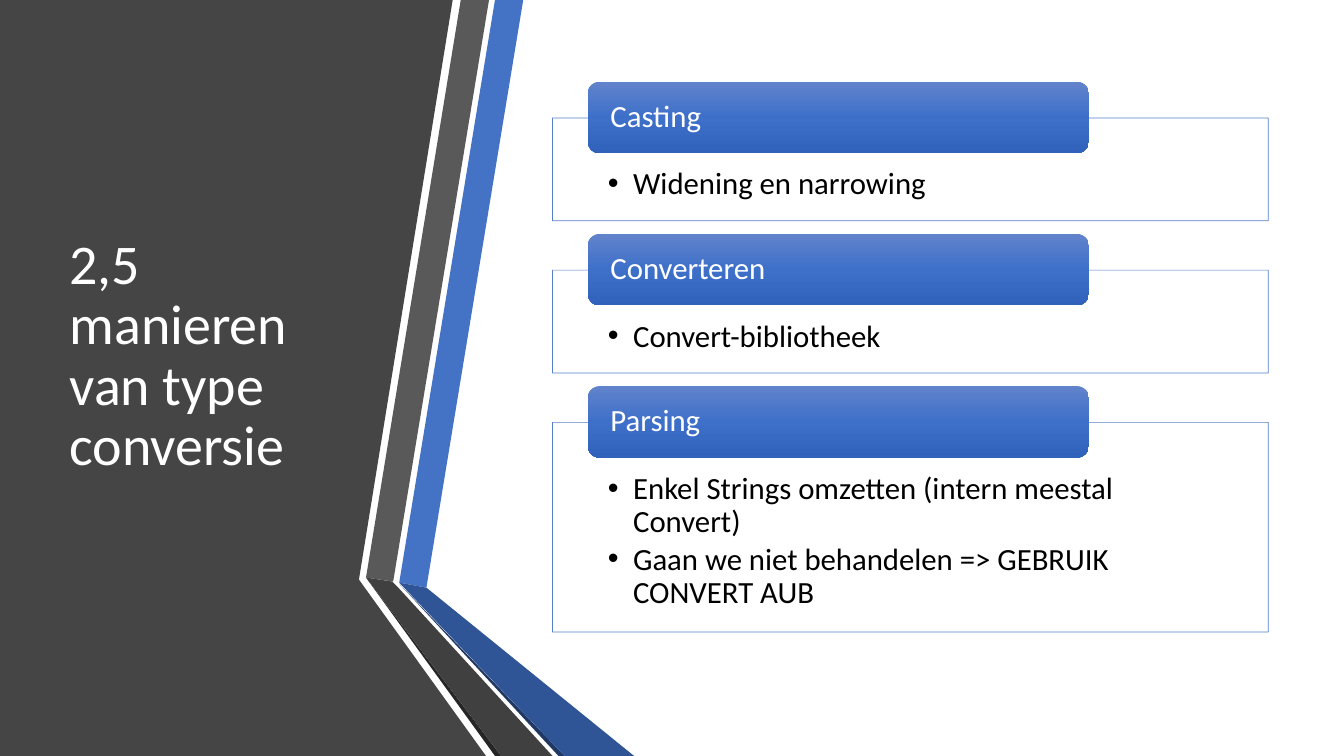
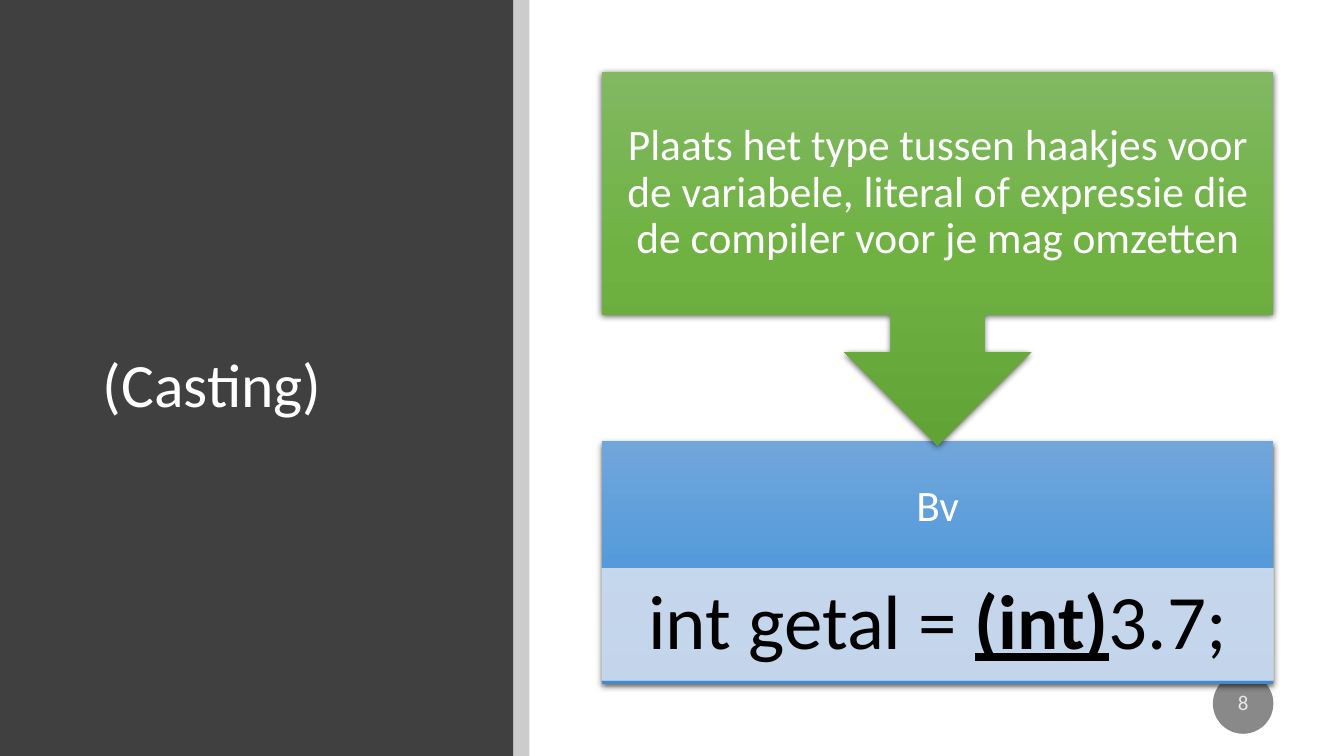
"""Build two slides on type conversion and casting."""
from copy import deepcopy
from dataclasses import dataclass

from lxml.etree import SubElement
from pptx import Presentation
from pptx.dml.color import RGBColor
from pptx.enum.shapes import MSO_SHAPE as Geometry
from pptx.enum.text import MSO_ANCHOR as Anchor, MSO_AUTO_SIZE as AutoSize, PP_ALIGN as Align
from pptx.oxml.ns import qn
from pptx.shapes.autoshape import Shape
from pptx.slide import Slide
from pptx.util import Inches, Pt

COLORS = {
    "white": "FFFFFF", "black": "000000", "blue": "4472C4", "panel": "454545",
    "charcoal": "404040", "gray": "595959", "dark gray": "262626",
    "navy": "203864", "deep blue": "2F5597", "pale blue": "D2DEEF",
    "badge": "898989", "badge text": "E7E7E7",
}
GRADIENTS = {
    "header": ("6183CB", "3E70CA", "3062BB"),
    "example": ("71A6DB", "559BDB", "448ACA"),
    "rule": ("81B861", "6FB242", "62A336"),
}
FONT = "Calibri"
Box = tuple[float, float, float, float]
Points = list[tuple[float, float]]


@dataclass(frozen=True)
class Band:
    color: str
    points: Points


@dataclass(frozen=True)
class Method:
    name: str
    notes: list[str]
    height: float


@dataclass(frozen=True)
class Span:
    text: str
    emphasis: bool = False


BANDS = [
    Band("panel", [(0, 0), (4.49, 0), (3.56, 5.75), (4.82, 7.5), (0, 7.5)]),
    Band("blue", [(3.96, 5.78), (4.23, 5.83), (5.19, 0), (4.91, 0)]),
    Band("gray", [(4.85, 0), (4.57, 0), (3.63, 5.73), (3.9, 5.77)]),
    Band("dark gray", [(3.63, 5.73), (4.91, 7.5), (4.97, 7.5)]),
    Band("navy", [(3.96, 5.79), (5.54, 7.5), (5.6, 7.5)]),
    Band("deep blue", [(3.96, 5.78), (5.6, 7.5), (6.29, 7.5), (4.23, 5.83)]),
    Band("charcoal", [(5.48, 7.5), (3.95, 5.83), (3.89, 5.77), (3.63, 5.73), (4.97, 7.5)]),
]
METHODS = [
    Method("Casting", ["Widening en narrowing"], 1.02),
    Method("Converteren", ["Convert-bibliotheek"], 1.02),
    Method("Parsing", ["Enkel Strings omzetten (intern meestal Convert)",
                       "Gaan we niet behandelen => GEBRUIK CONVERT AUB"], 2.08),
]


def rgb(name: str) -> RGBColor:
    return RGBColor.from_string(COLORS[name])


def apply(target: object, values: dict[str, object]) -> None:
    for name, value in values.items():
        setattr(target, name, value)


def paint(shape: Shape, color: str, outline: str | None = None, opacity: int = 100) -> None:
    shape.shadow.inherit = False
    shape.fill.solid()
    shape.fill.fore_color.rgb = rgb(color)
    if outline:
        shape.line.color.rgb = rgb(outline)
        shape.line.width = Pt(0.5)
    else:
        shape.line.fill.background()
    if opacity < 100:
        for clr in shape._element.spPr.iter(qn("a:srgbClr")):
            SubElement(clr, qn("a:alpha"), val=str(opacity * 1000))


def shade(shape: Shape, gradient: str) -> None:
    shape.shadow.inherit = False
    shape.line.fill.background()
    shape.fill.gradient()
    shape.fill.gradient_angle = 270
    stops = shape._element.spPr.find(".//" + qn("a:gsLst"))
    stops.insert(1, deepcopy(stops[0]))
    for position, (stop, color) in enumerate(zip(stops, GRADIENTS[gradient])):
        stop.set("pos", str(position * 50000))
        for child in list(stop):
            stop.remove(child)
        SubElement(stop, qn("a:srgbClr"), val=color)


def cast_shadow(shape: Shape) -> None:
    effects = shape._element.spPr.find(qn("a:effectLst"))
    shadow = SubElement(effects, qn("a:outerShdw"), blurRad=str(Pt(4.5)), dist=str(Pt(1.5)),
                        dir="5400000", algn="ctr", rotWithShape="0")
    clr = SubElement(shadow, qn("a:srgbClr"), val=COLORS["black"])
    SubElement(clr, qn("a:alpha"), val="63000")


def add_box(slide: Slide, geometry: Geometry, box: Box) -> Shape:
    return slide.shapes.add_shape(geometry, *map(Inches, box))


def write(shape: Shape, paragraphs: list[list[Span]], size: float, color: str = "white",
          align: Align = Align.CENTER, anchor: Anchor = Anchor.MIDDLE,
          insets: Box = (0.1, 0.05, 0.1, 0.05), bullets: bool = False) -> None:
    frame = shape.text_frame
    sides = ("margin_left", "margin_top", "margin_right", "margin_bottom")
    apply(frame, {"word_wrap": True, "auto_size": AutoSize.NONE, "vertical_anchor": anchor,
                  **dict(zip(sides, map(Inches, insets)))})
    for index, spans in enumerate(paragraphs):
        paragraph = frame.add_paragraph() if index else frame.paragraphs[0]
        apply(paragraph, {"alignment": align, "line_spacing": 0.9,
                          "space_before": Pt(0), "space_after": Pt(3 if bullets else 0)})
        if bullets:
            properties = paragraph._p.get_or_add_pPr()
            properties.set("marL", str(Inches(0.25)))
            properties.set("indent", str(Inches(-0.25)))
            SubElement(properties, qn("a:buFont"), typeface="Arial")
            SubElement(properties, qn("a:buChar"), char="•")
        for span in spans:
            run = paragraph.add_run()
            run.text = span.text
            apply(run.font, {"name": FONT, "size": Pt(size), "bold": span.emphasis,
                             "underline": span.emphasis})
            run.font.color.rgb = rgb(color)


def add_title(slide: Slide, text: str, box: Box, size: float) -> None:
    title = slide.shapes.title
    apply(title, dict(zip(("left", "top", "width", "height"), map(Inches, box))))
    write(title, [[Span(text)]], size, align=Align.LEFT)
    title._element.getparent().append(title._element)


def add_band(slide: Slide, band: Band) -> None:
    start, *rest = [(Inches(x), Inches(y)) for x, y in band.points]
    outline = slide.shapes.build_freeform(*start)
    outline.add_line_segments(rest, close=True)
    paint(outline.convert_to_shape(), band.color)


def add_method(slide: Slide, method: Method, top: float) -> None:
    body = add_box(slide, Geometry.RECTANGLE, (5.48, top, 7.1, method.height))
    paint(body, "white", "blue", 90)
    write(body, [[Span(note)] for note in method.notes], 22, "black", Align.LEFT,
          Anchor.TOP, (0.55, 0.5, 0.55, 0.17), bullets=True)
    header = add_box(slide, Geometry.ROUNDED_RECTANGLE, (5.83, top - 0.36, 4.97, 0.71))
    shade(header, "header")
    write(header, [[Span(method.name)]], 22, align=Align.LEFT, insets=(0.19, 0, 0.19, 0))


def build_methods(slide: Slide) -> None:
    for band in BANDS:
        add_band(slide, band)
    add_title(slide, "2,5 manieren van type conversie", (0.59, 0.75, 3.04, 5.58), 40)
    top = 1.17
    for method in METHODS:
        add_method(slide, method, top)
        top += method.height + 0.49


def build_casting(slide: Slide) -> None:
    paint(add_box(slide, Geometry.RECTANGLE, (0, 0, 5.09, 7.5)), "charcoal")
    add_title(slide, "(Casting)", (0.92, 0.89, 3.65, 5.91), 44)
    paint(add_box(slide, Geometry.RECTANGLE, (5.09, 0, 0.16, 7.5)), "black", opacity=20)

    page_badge = add_box(slide, Geometry.OVAL, (12.03, 6.68, 0.6, 0.6))
    paint(page_badge, "badge")
    write(page_badge, [[Span("8")]], 15, "badge text")

    example = add_box(slide, Geometry.RECTANGLE, (5.97, 4.38, 6.66, 2.41))
    shade(example, "example")
    cast_shadow(example)
    write(example, [[Span("Bv")]], 31, insets=(0.24, 0.24, 0.24, 1.35))

    code = add_box(slide, Geometry.RECTANGLE, (5.97, 5.64, 6.66, 1.11))
    paint(code, "pale blue", "pale blue", 90)
    write(code, [[Span("int getal = "), Span("(int)", True), Span("3.7;")]], 55, "black",
          insets=(0.43, 0.08, 0.43, 0.08))

    rule = add_box(slide, Geometry.DOWN_ARROW_CALLOUT, (5.97, 0.71, 6.66, 3.71))
    shade(rule, "rule")
    cast_shadow(rule)
    write(rule, [[Span("Plaats het type tussen haakjes voor de variabele, literal of "
                       "expressie die de compiler voor je mag omzetten")]], 31,
          insets=(0.24, 0.24, 0.24, 0.24))


def main() -> None:
    deck = Presentation()
    apply(deck, {"slide_width": Inches(13.33), "slide_height": Inches(7.5)})
    for build in (build_methods, build_casting):
        build(deck.slides.add_slide(deck.slide_layouts[5]))
    deck.save("out.pptx")


if __name__ == "__main__":
    main()
